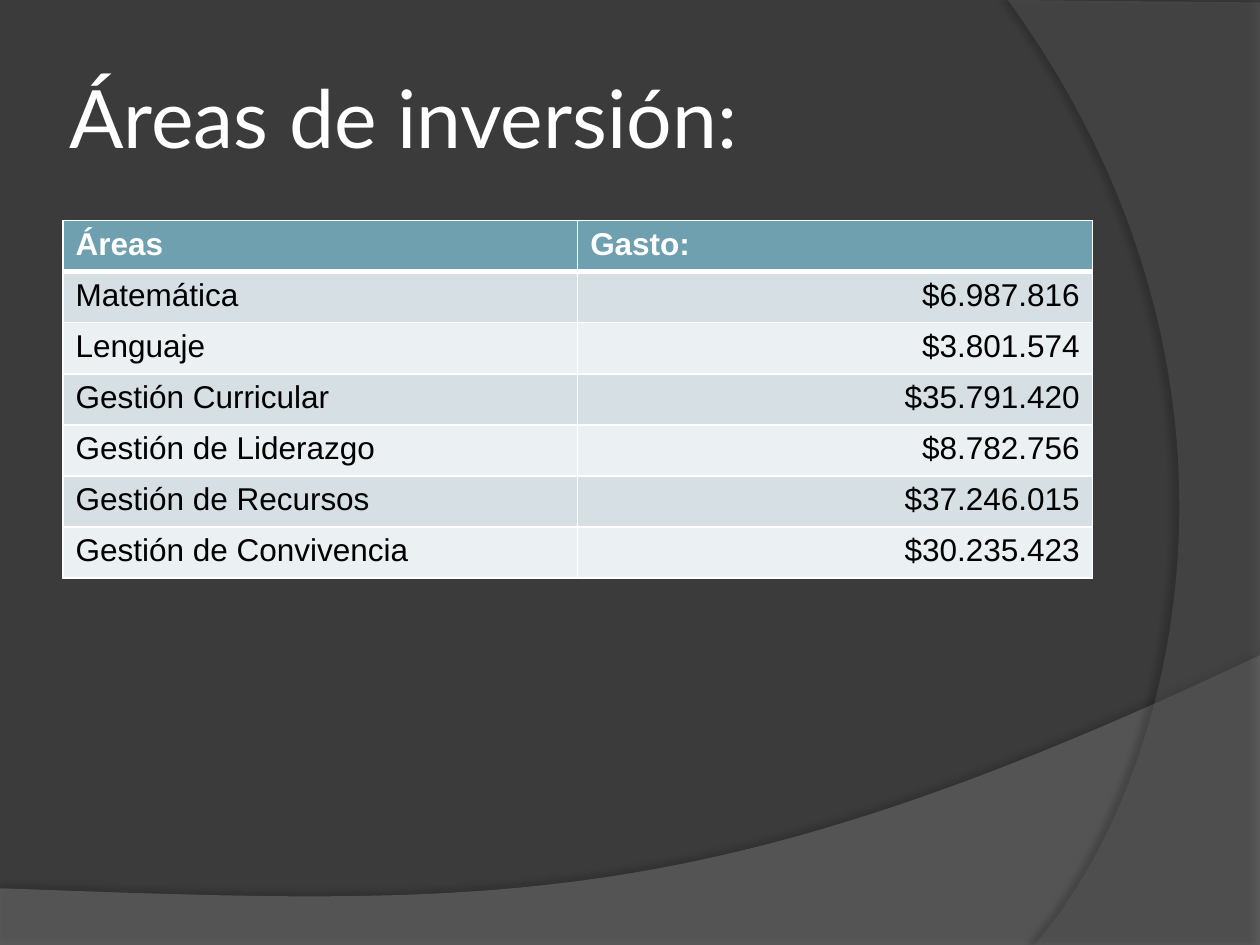
from lxml.etree import SubElement
from pptx import Presentation
from pptx.dml.color import RGBColor
from pptx.enum.text import MSO_ANCHOR, PP_ALIGN
from pptx.oxml.ns import qn
from pptx.util import Inches, Pt

WHITE = RGBColor(255, 255, 255)
BLACK = RGBColor(0, 0, 0)
DARK = RGBColor(0x3B, 0x3B, 0x3B)
GREY = RGBColor(0x7F, 0x7F, 0x7F)
DIM = RGBColor(0x5E, 0x5E, 0x5E)
TEAL = RGBColor(0x6E, 0xA0, 0xB0)
BANDS = [RGBColor(0xEB, 0xF0, 0xF2), RGBColor(0xD5, 0xDF, 0xE4)]


def curve(*knots, steps=48):
    points = []
    for i in range(steps + 1):
        t = i / steps
        parts = [(1 - t) ** 3, 3 * t * (1 - t) ** 2, 3 * t * t * (1 - t), t ** 3]
        points.append(tuple(sum(w * k[d] for w, k in zip(parts, knots)) for d in (0, 1)))
    return points


def border(cell, side, width):
    line = SubElement(cell._tc.get_or_add_tcPr(), qn("a:" + side), w=str(Pt(width)))
    fill = SubElement(line, qn("a:solidFill"))
    SubElement(fill, qn("a:srgbClr"), val=str(WHITE))


deck = Presentation()
deck.slide_width, deck.slide_height = Inches(10), Inches(7.5)
slide = deck.slides.add_slide(deck.slide_layouts[5])
slide.background.fill.solid()
slide.background.fill.fore_color.rgb = DARK

low = curve((10, 5.2), (5.59, 7.29), (3.91, 7.19), (0, 7.05)) + [(0, 7.51), (10, 7.51)]
side = curve((8.21, 7.5), (9.35, 6.19), (10.18, 3), (8, 0)) + [(10, 0.02), (10, 7.5)]
waves = [(low, GREY, 45, 35, 3.5, 270), (side, DIM, 40, 45, 4, 180)]
for points, color, alpha, shade, gap, angle in waves:
    spots = [(Inches(x), Inches(y)) for x, y in points]
    pen = slide.shapes.build_freeform(*spots[0])
    pen.add_line_segments(spots[1:])
    wave = pen.convert_to_shape()
    wave.fill.solid()
    wave.fill.fore_color.rgb = color
    wave.line.fill.background()
    wave.shadow.inherit = False
    props = wave._element.spPr
    tint = props.find(qn("a:solidFill"))[0]
    SubElement(tint, qn("a:alpha"), val=str(alpha * 1000))
    glow = SubElement(props.find(qn("a:effectLst")), qn("a:outerShdw"),
                      blurRad=str(Pt(4)), dist=str(Pt(gap)),
                      dir=str(angle * 60000), algn="ctr", rotWithShape="0")
    ink = SubElement(glow, qn("a:srgbClr"), val=str(BLACK))
    SubElement(ink, qn("a:alpha"), val=str(shade * 1000))

left, wide = Inches(0.5), Inches(8.17)
title = slide.shapes.title
slide.shapes._spTree.append(title._element)
title.left, title.top, title.width, title.height = left, Inches(0.3), wide, Inches(1.25)
frame = title.text_frame
frame.text = "Áreas de inversión:"
frame.vertical_anchor = MSO_ANCHOR.MIDDLE
frame.margin_left = frame.margin_right = Inches(0.05)
frame.margin_top = frame.margin_bottom = Inches(0.05)
head = frame.paragraphs[0]
head.alignment = PP_ALIGN.LEFT
head.font.name, head.font.size = "Lato", Pt(46)
head.font.color.rgb = WHITE

rows = [
    ("Áreas", "Gasto:"),
    ("Matemática", "$6.987.816"),
    ("Lenguaje", "$3.801.574"),
    ("Gestión Curricular", "$35.791.420"),
    ("Gestión de Liderazgo", "$8.782.756"),
    ("Gestión de Recursos", "$37.246.015"),
    ("Gestión de Convivencia", "$30.235.423"),
]
table = slide.shapes.add_table(len(rows), 2, left, Inches(1.75), wide, Inches(2.84)).table
for r, row in enumerate(rows):
    for c, text in enumerate(row):
        cell = table.cell(r, c)
        cell.text = text
        para = cell.text_frame.paragraphs[0]
        para.alignment = PP_ALIGN.RIGHT if r and c else PP_ALIGN.LEFT
        para.font.name, para.font.size = "Arial", Pt(18)
        para.font.bold = r == 0
        para.font.color.rgb = BLACK if r else WHITE
        for edge in ("lnL", "lnR", "lnT", "lnB"):
            thick = (r, edge) in [(0, "lnB"), (1, "lnT")]
            border(cell, edge, 3 if thick else 1)
        cell.fill.solid()
        cell.fill.fore_color.rgb = BANDS[r % 2] if r else TEAL

deck.save("out.pptx")
